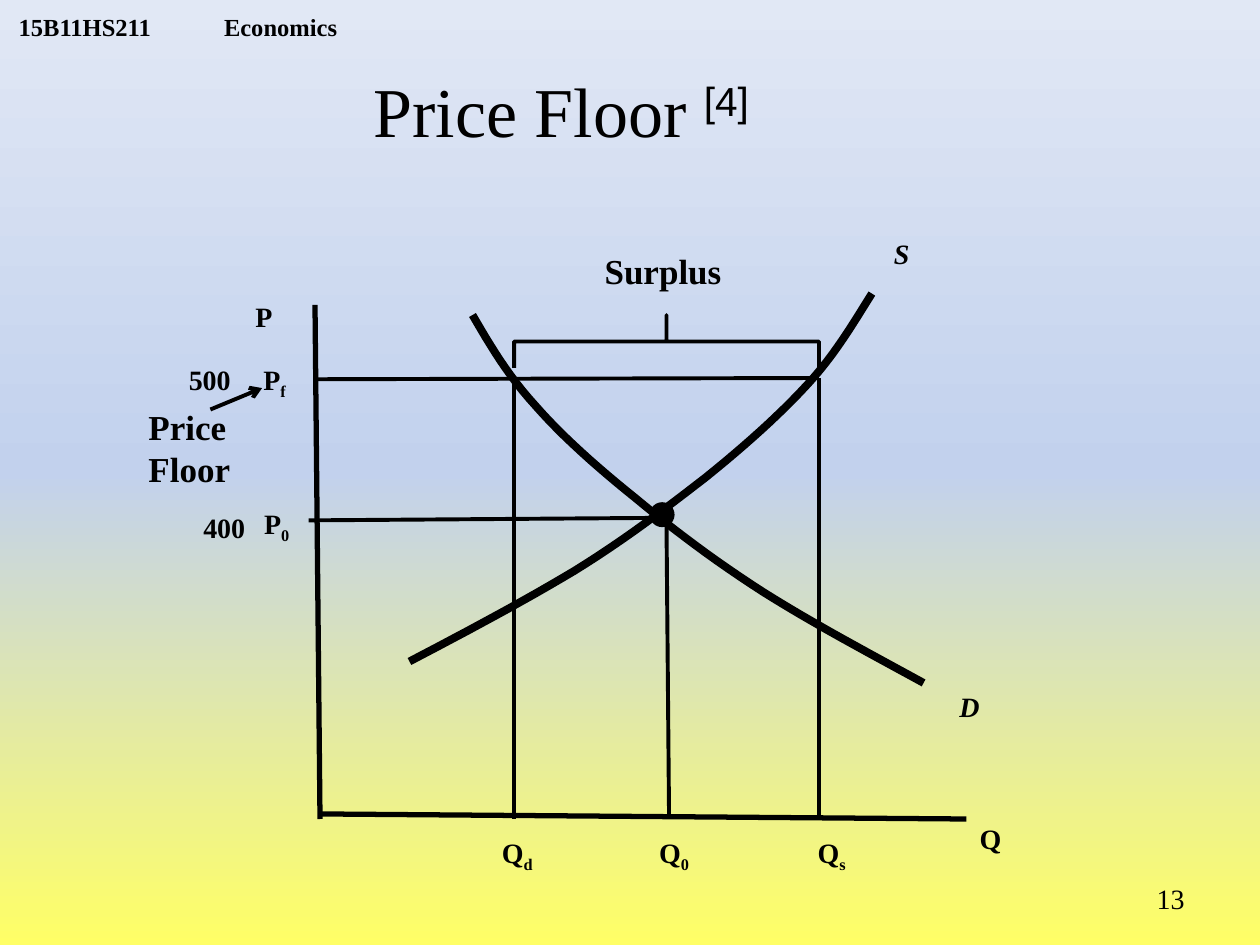
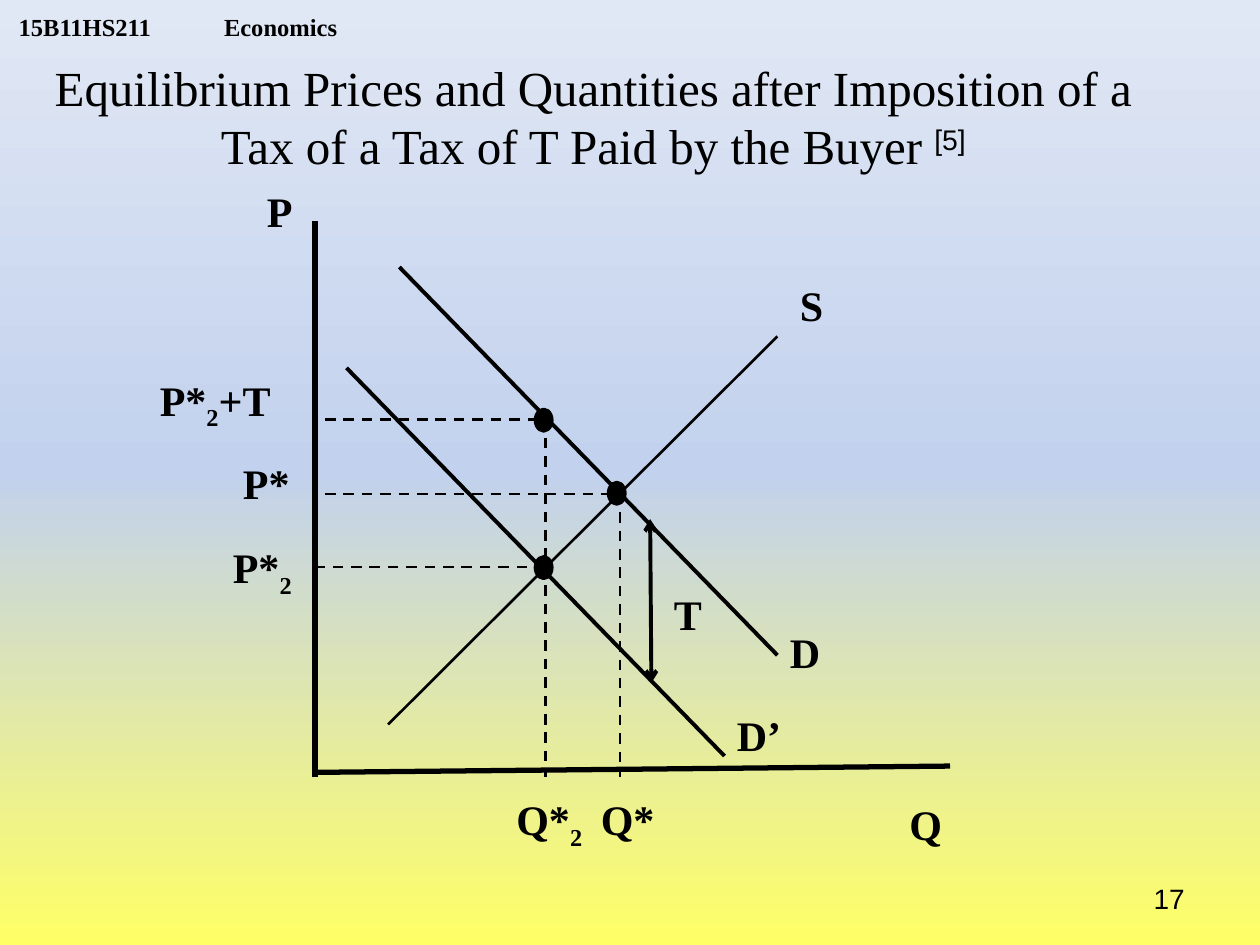
"""Build two economics slides: a price floor and a tax paid by the buyer."""
from copy import deepcopy

from lxml import etree
from pptx import Presentation
from pptx.dml.color import RGBColor
from pptx.enum.dml import MSO_LINE
from pptx.enum.shapes import MSO_CONNECTOR, MSO_SHAPE
from pptx.enum.text import MSO_ANCHOR, MSO_AUTO_SIZE, PP_ALIGN
from pptx.oxml.ns import qn
from pptx.util import Inches, Pt

STRAIGHT = MSO_CONNECTOR.STRAIGHT
BRACE, OVAL = MSO_SHAPE.LEFT_BRACE, MSO_SHAPE.OVAL
DASH = MSO_LINE.DASH
LEFT, CENTER, RIGHT = PP_ALIGN.LEFT, PP_ALIGN.CENTER, PP_ALIGN.RIGHT
MIDDLE, BOTTOM = MSO_ANCHOR.MIDDLE, MSO_ANCHOR.BOTTOM
FIXED = MSO_AUTO_SIZE.NONE

COLORS = {"ink": "000000", "ground": "FFFF66", "horizon": "C2D1ED", "sky": "E1E8F5"}
SERIF, SANS = "Times New Roman", "Arial"
SUBSCRIPT, SUPERSCRIPT = "-25000", "30000"
CURVE_STEPS = 12


def color(name):
    """Return a named colour."""
    return RGBColor.from_string(COLORS[name])


def inches(*values):
    """Convert several lengths to inches."""
    return [Inches(value) for value in values]


def set_background(master):
    """Give the master a three-stop vertical gradient."""
    fill = master.background.fill
    fill.gradient()
    fill.gradient_angle = 90
    stop_list = master.element.xpath(".//p:bg//a:gsLst")[0]
    stop_list.append(deepcopy(stop_list[0]))
    names = ("ground", "horizon", "sky")
    for index, (stop, name) in enumerate(zip(fill.gradient_stops, names)):
        stop.position = index / 2
        stop.color.rgb = color(name)


def style_font(font, size, name=SERIF, bold=False, italic=False):
    """Set the typeface, size, weight and ink of a font."""
    font.name, font.size = name, Pt(size)
    font.bold, font.italic = bold, italic
    font.color.rgb = color("ink")


def add_span(para, text, baseline=None):
    """Add a run, raised or lowered when a baseline is given."""
    span = para.add_run()
    span.text = text
    if baseline:
        span.font._element.set("baseline", baseline)
    return span


def add_label(page, text, at, size, align=LEFT, wrap=False, bold=True, **font):
    """Add a text box in which every second part between bars is a subscript."""
    box = page.shapes.add_textbox(*inches(*at))
    box.text_frame.word_wrap = wrap
    para = box.text_frame.paragraphs[0]
    para.alignment = align
    style_font(para.font, size, bold=bold, **font)
    for index, part in enumerate(text.split("|")):
        add_span(para, part, SUBSCRIPT if index % 2 else None)
    return box


def add_header(page):
    """Add the course code and course name."""
    box = page.shapes.add_textbox(*inches(0.05, 0, 3.2, 0.33))
    frame = box.text_frame
    frame.word_wrap, frame.auto_size = True, FIXED
    frame.vertical_anchor = BOTTOM
    frame.margin_top = frame.margin_bottom = 0
    para = frame.paragraphs[0]
    tabs = etree.SubElement(para._p.get_or_add_pPr(), qn("a:tabLst"))
    etree.SubElement(tabs, qn("a:tab"), pos=str(Inches(1.63)), algn="l")
    style_font(para.font, 14, bold=True)
    add_span(para, "15B11HS211\tEconomics")


def add_page(deck, title, citation, at, size, number, number_font):
    """Add a titled slide with its header and page number."""
    page = deck.slides.add_slide(deck.slide_layouts[5])
    add_header(page)
    box = page.shapes.title
    box.left, box.top, box.width, box.height = inches(*at)
    frame = box.text_frame
    frame.word_wrap, frame.auto_size = True, FIXED
    frame.vertical_anchor = MIDDLE
    para = frame.paragraphs[0]
    para.alignment = CENTER
    style_font(para.font, size)
    add_span(para, title + " ")
    add_span(para, citation, SUPERSCRIPT).font.name = SANS
    add_label(page, number, (7.17, 6.95, 2.33, 0.4), 16, RIGHT, True,
              bold=False, name=number_font)
    return page


def style_line(line, width):
    """Set an ink line of the given width."""
    line.color.rgb = color("ink")
    line.width = Pt(width)


def add_line(page, start, end, width=2.25, dash=None, arrows=()):
    """Add a straight line, with arrowheads at the named ends."""
    connector = page.shapes.add_connector(STRAIGHT, *inches(*start, *end))
    style_line(connector.line, width)
    if dash:
        connector.line.dash_style = dash
    for arrow in arrows:
        etree.SubElement(connector.line._ln, qn(f"a:{arrow}"), type="arrow")
    etree.SubElement(connector._element.spPr, qn("a:effectLst"))


def add_dot(page, left, top, width, height):
    """Add a solid dot marking an equilibrium."""
    dot = page.shapes.add_shape(OVAL, *inches(left, top, width, height))
    dot.shadow.inherit = False
    dot.fill.solid()
    dot.fill.fore_color.rgb = color("ink")
    style_line(dot.line, 2)


def add_bracket(page):
    """Add the square bracket that spans the surplus."""
    bracket = page.shapes.add_shape(BRACE, *inches(5.08, 1.5, 0.42, 2.42))
    bracket.adjustments[0] = 0
    bracket.rotation = 90
    bracket._element.spPr.xfrm.set("flipV", "1")
    bracket.shadow.inherit = False
    bracket.fill.background()
    style_line(bracket.line, 2.25)


def bezier_points(knots):
    """Return points along a chain of cubic segments."""
    points = [knots[0]]
    for first in range(0, len(knots) - 1, 3):
        segment = knots[first:first + 4]
        for step in range(1, CURVE_STEPS + 1):
            t = step / CURVE_STEPS
            weights = ((1 - t) ** 3, 3 * t * (1 - t) ** 2, 3 * t * t * (1 - t), t ** 3)
            points.append(tuple(sum(weight * knot[axis] for weight, knot
                                    in zip(weights, segment)) for axis in (0, 1)))
    return points


def add_curve(page, knots):
    """Add a smooth thick curve."""
    start, *rest = [tuple(inches(*point)) for point in bezier_points(knots)]
    builder = page.shapes.build_freeform(*start)
    builder.add_line_segments(rest, close=False)
    curve = builder.convert_to_shape()
    curve.shadow.inherit = False
    curve.fill.background()
    style_line(curve.line, 4.5)


def build_price_floor(deck):
    """Build the price floor diagram."""
    page = add_page(deck, "Price Floor", "[4] ", (0, 0.33, 9, 1.08), 40, "13", SERIF)
    for text, left, top, width, italic in (
            ("S", 6.99, 1.83, 0.33, True), ("D", 7.47, 5.42, 0.45, True),
            ("P", 1.92, 2.33, 0.35, False), ("Q", 7.67, 6.47, 0.38, False),
            ("P|0", 1.99, 3.97, 0.41, False), ("P|f", 1.98, 2.83, 0.4, False),
            ("Q|d", 3.87, 6.58, 0.47, False), ("Q|0", 5.12, 6.58, 0.46, False),
            ("Q|s", 6.38, 6.58, 0.44, False)):
        add_label(page, text, (left, top, width, 0.37), 16, CENTER, italic=italic)
    add_label(page, "400", (1.33, 4, 0.9, 0.37), 16, CENTER, True)
    add_label(page, "500", (1.4, 2.83, 0.85, 0.37), 16, wrap=True)
    add_label(page, "Surplus", (4.7, 1.93, 1.3, 0.44), 20, wrap=True)
    add_label(page, "Price Floor", (1.08, 3.17, 1, 0.77), 20, wrap=True)
    demand = [(3.75, 2.5), (3.89, 2.74), (4.03, 2.98), (4.25, 3.22), (4.46, 3.46),
              (4.74, 3.71), (5.04, 3.95), (5.34, 4.2), (5.67, 4.45), (6.06, 4.7),
              (6.44, 4.94), (6.89, 5.18), (7.33, 5.42)]
    supply = [(6.92, 2.33), (6.77, 2.57), (6.63, 2.81), (6.41, 3.05), (6.19, 3.29),
              (5.91, 3.54), (5.6, 3.79), (5.29, 4.03), (4.95, 4.29), (4.56, 4.53),
              (4.16, 4.77), (3.71, 5.01), (3.25, 5.25)]
    add_curve(page, demand)
    add_curve(page, supply)
    add_bracket(page)
    for start, end in (((5.25, 4.11), (2.45, 4.13)), ((2.5, 3.01), (6.5, 3)),
                       ((5.29, 4.17), (5.31, 6.47)), ((4.08, 3), (4.08, 6.5)),
                       ((6.5, 3), (6.5, 6.5))):
        add_line(page, start, end)
    add_line(page, (2.08, 3.08), (1.67, 3.25), arrows=("headEnd",))
    add_dot(page, 5.17, 4, 0.17, 0.17)
    add_line(page, (2.5, 2.42), (2.54, 6.5), 3)
    add_line(page, (2.54, 6.46), (7.67, 6.5), 3)


def build_buyer_tax(deck):
    """Build the diagram of a tax paid by the buyer."""
    page = add_page(
        deck, "Equilibrium Prices and Quantities after Imposition of a "
        "Tax of a Tax of T Paid by the Buyer", "[5]",
        (0.25, 0.42, 8.92, 1), 28, "17", SANS)
    for text, left, top, width in (
            ("Q", 7.12, 6.29, 0.46), ("P", 2.02, 1.42, 0.4),
            ("Q*|2", 4, 6.25, 0.74), ("Q*", 4.67, 6.25, 0.63),
            ("P*|2|+T", 1.17, 2.92, 1.1), ("P*", 1.83, 3.58, 0.57),
            ("P*|2", 1.75, 4.25, 0.74), ("S", 6.25, 2.17, 0.39),
            ("D", 6.17, 4.92, 0.45), ("D’", 5.75, 5.58, 0.56),
            ("T", 5.25, 4.62, 0.42)):
        add_label(page, text, (left, top, width, 0.5), 24)
    add_line(page, (3.17, 2.12), (6.17, 5.2))
    add_line(page, (2.75, 2.92), (5.75, 6))
    add_line(page, (5.16, 4.12), (5.17, 5.42), arrows=("headEnd", "tailEnd"))
    add_line(page, (3.08, 5.75), (6.17, 2.67), 1.5)
    for start, end in (((2.58, 3.33), (4.33, 3.33)), ((4.33, 3.33), (4.33, 6.17)),
                       ((4.92, 3.92), (4.92, 6.17)), ((2.58, 3.92), (4.92, 3.92)),
                       ((4.33, 4.5), (2.5, 4.5))):
        add_line(page, start, end, 1.5, DASH)
    for left, top in ((4.83, 3.83), (4.25, 3.25), (4.25, 4.42)):
        add_dot(page, left, top, 0.13, 0.17)
    add_line(page, (2.5, 6.17), (2.5, 1.75), 3)
    add_line(page, (2.5, 6.13), (7.54, 6.08), 3)


def main():
    """Build and save the deck."""
    deck = Presentation()
    deck.slide_width, deck.slide_height = inches(10, 7.5)
    set_background(deck.slide_master)
    build_price_floor(deck)
    build_buyer_tax(deck)
    deck.save("out.pptx")


if __name__ == "__main__":
    main()
